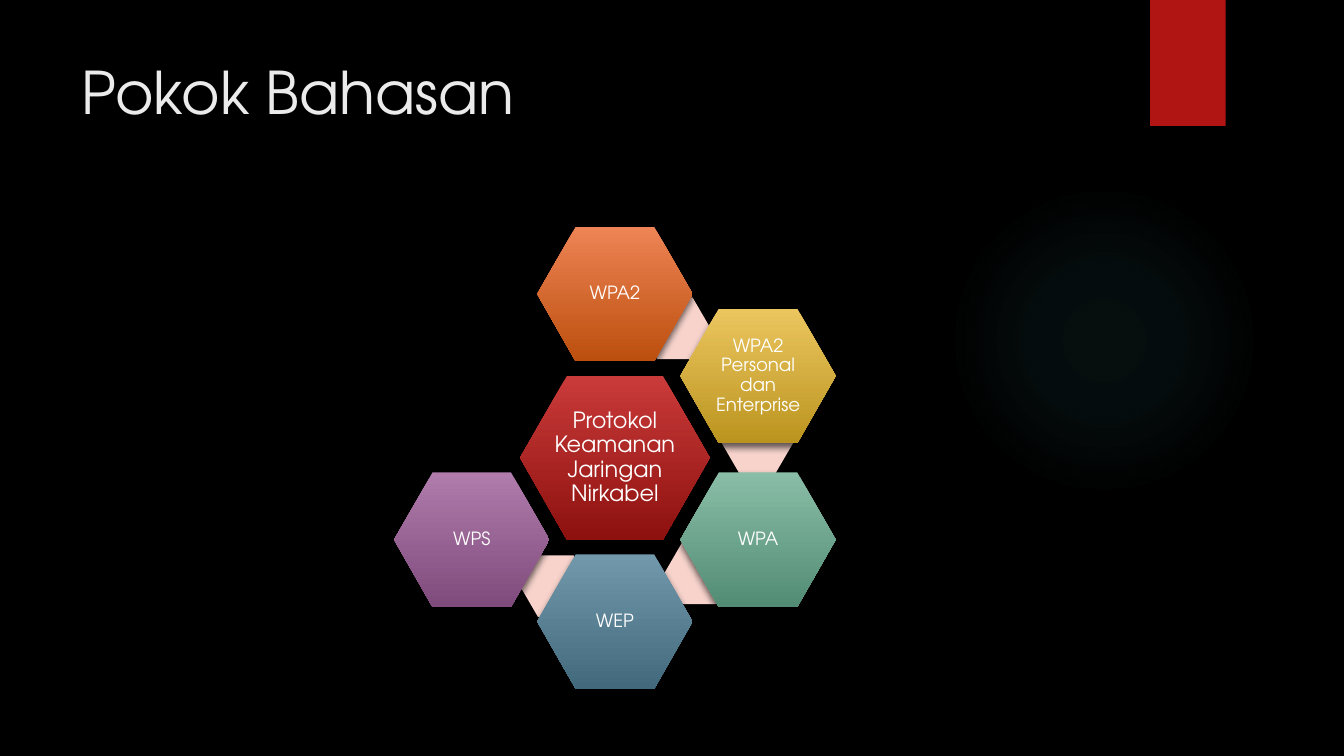
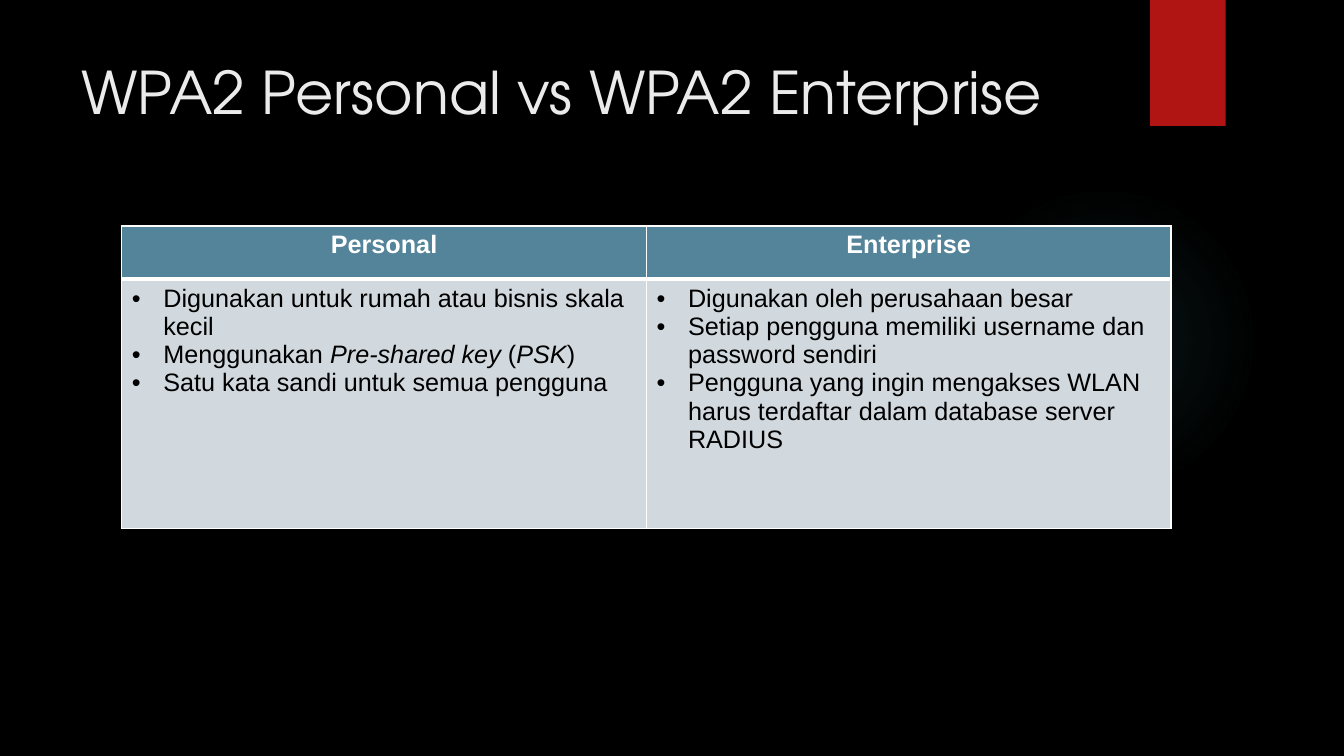
"""Build two slides on wireless security protocols: a honeycomb of topics and a comparison table."""
from pptx import Presentation
from pptx.dml.color import RGBColor
from pptx.enum.shapes import MSO_SHAPE as SHAPE
from pptx.enum.text import MSO_ANCHOR as ANCHOR, PP_ALIGN as ALIGN
from pptx.oxml import parse_xml
from pptx.oxml.ns import nsdecls, qn
from pptx.util import Pt

COLORS = {
    "background": "000000",
    "title": "EBEBEB",
    "glow": "50B9C1",
    "ribbon": "B01513",
    "spacer": "F7D3CC",
    "light": "FFFFFF",
    "dark": "000000",
    "header": "54849A",
    "body": "D1D9DE",
}
RGB = {name: RGBColor.from_string(value) for name, value in COLORS.items()}
DISPLAY_FONT = "TeX Gyre Adventor"
TABLE_FONT = "Arial"


def add_run(paragraph, text, font_name, size, color, bold=False, italic=False):
    run = paragraph.add_run()
    run.text = text
    run.font.name = font_name
    run.font.size = Pt(size)
    run.font.color.rgb = color
    run.font.bold = bold
    run.font.italic = italic


def add_shadow(shape, alpha, blur, distance):
    shape.shadow.inherit = False
    shape.element.spPr.find(qn("a:effectLst")).append(parse_xml(
        f'<a:outerShdw {nsdecls("a")} blurRad="{Pt(blur)}" dist="{Pt(distance)}" '
        f'dir="5400000" rotWithShape="0"><a:srgbClr val="{COLORS["dark"]}">'
        f'<a:alpha val="{alpha * 1000}"/></a:srgbClr></a:outerShdw>'))


prs = Presentation()
prs.slide_width = Pt(960)
prs.slide_height = Pt(540)

layout = prs.slide_layouts[5]
layout.background.fill.solid()
layout.background.fill.fore_color.rgb = RGB["background"]
layout_title = layout.placeholders[0]
layout_title.left, layout_title.top = Pt(51), Pt(36)
layout_title.width, layout_title.height = Pt(741), Pt(110)
layout_title.text_frame.vertical_anchor = ANCHOR.TOP

topics_slide = prs.slides.add_slide(layout)
comparison_slide = prs.slides.add_slide(layout)
titles = [
    (topics_slide, "Pokok Bahasan"),
    (comparison_slide, "WPA2 Personal vs WPA2 Enterprise"),
]
for slide, title in titles:
    heading = slide.shapes.title.text_frame.paragraphs[0]
    heading.alignment = ALIGN.LEFT
    add_run(heading, title, DISPLAY_FONT, 42, RGB["title"])

glow = topics_slide.shapes.add_shape(SHAPE.OVAL, Pt(677.5), Pt(132), Pt(222), Pt(222))
glow.shadow.inherit = False
glow.line.fill.background()
glow_stops = "".join(
    f'<a:gs pos="{position * 1000}"><a:srgbClr val="{COLORS["glow"]}">'
    f'<a:alpha val="{alpha * 1000}"/></a:srgbClr></a:gs>'
    for position, alpha in [(0, 7), (36, 6), (69, 0)])
glow.element.spPr.insert(2, parse_xml(
    f'<a:gradFill {nsdecls("a")}><a:gsLst>{glow_stops}</a:gsLst><a:path path="circle">'
    '<a:fillToRect l="50000" t="50000" r="50000" b="50000"/></a:path></a:gradFill>'))

ribbon = topics_slide.shapes.add_shape(SHAPE.RECTANGLE, Pt(821.5), 0, Pt(54), Pt(90))
ribbon.fill.solid()
ribbon.fill.fore_color.rgb = RGB["ribbon"]
ribbon.line.fill.background()
add_shadow(ribbon, 45, 3, 2)

for position, backdrop in enumerate([glow, ribbon], start=2):
    layout.shapes.element.insert(position, backdrop.element)

CENTER_X, CENTER_Y = 439.25, 327
STEP_X, STEP_Y = 102.25, 58.5
topics = [
    ("Protokol Keamanan Jaringan Nirkabel", 0, 0, 135.5, 117.5, 16, "C93B3A", "8D110F"),
    ("WPA2", 0, -2, 111, 96, 13, "EE8455", "BC4F0E"),
    ("WPA2 Personal dan Enterprise", 1, -1, 111, 96, 13, "EBC65F", "BB941F"),
    ("WPA", 1, 1, 111, 96, 13, "89BDA7", "538C74"),
    ("WEP", 0, 2, 111, 96, 13, "7198AB", "436A7C"),
    ("WPS", -1, 1, 111, 96, 13, "AF7CAC", "7F4B7C"),
]
spacers = [(456.5, 212.5), (515.5, 294.5), (474.5, 387.5), (371.5, 396.75)]

for left, top in spacers:
    spacer = topics_slide.shapes.add_shape(SHAPE.HEXAGON, Pt(left), Pt(top), Pt(51), Pt(44))
    spacer.adjustments[0] = 0.29
    spacer.fill.solid()
    spacer.fill.fore_color.rgb = RGB["spacer"]
    spacer.line.fill.background()
    add_shadow(spacer, 45, 3, 2)

for label, column, row, width, height, size, *shades in topics:
    topic = topics_slide.shapes.add_shape(
        SHAPE.HEXAGON,
        Pt(CENTER_X + column * STEP_X - width / 2),
        Pt(CENTER_Y + row * STEP_Y - height / 2),
        Pt(width), Pt(height))
    topic.adjustments[0] = 0.286
    topic.fill.gradient()
    topic.fill.gradient_angle = 270
    for stop, shade in zip(topic.fill.gradient_stops, shades):
        stop.color.rgb = RGBColor.from_string(shade)
    topic.line.fill.background()
    add_shadow(topic, 60, 5, 3)
    frame = topic.text_frame
    frame.word_wrap = True
    frame.vertical_anchor = ANCHOR.MIDDLE
    frame.margin_left = frame.margin_right = frame.margin_top = frame.margin_bottom = Pt(1.5)
    caption = frame.paragraphs[0]
    caption.alignment = ALIGN.CENTER
    caption.line_spacing = 0.9
    add_run(caption, label, DISPLAY_FONT, size, RGB["light"])

comparison = {
    "Personal": [
        [("Digunakan untuk rumah atau bisnis skala kecil", False)],
        [("Menggunakan ", False), ("Pre-shared key ", True), ("(", False),
         ("PSK", True), (")", False)],
        [("Satu kata sandi untuk semua pengguna", False)],
    ],
    "Enterprise": [
        [("Digunakan oleh perusahaan besar", False)],
        [("Setiap pengguna memiliki username dan password sendiri", False)],
        [("Pengguna yang ingin mengakses WLAN harus terdaftar dalam database server RADIUS",
          False)],
    ],
}
table = comparison_slide.shapes.add_table(
    2, len(comparison), Pt(87), Pt(161.5), Pt(749.5), Pt(216)).table
table.horz_banding = False
table.rows[0].height, table.rows[1].height = Pt(38), Pt(178)

for column, (mode, points) in enumerate(comparison.items()):
    header, body = table.cell(0, column), table.cell(1, column)
    for cell, fill, top_width, bottom_width in [(header, "header", 1, 3), (body, "body", 3, 1)]:
        properties = cell._tc.get_or_add_tcPr()
        for side, width in zip("LRTB", (1, 1, top_width, bottom_width)):
            properties.append(parse_xml(
                f'<a:ln{side} {nsdecls("a")} w="{Pt(width)}"><a:solidFill>'
                f'<a:srgbClr val="{COLORS["light"]}"/></a:solidFill></a:ln{side}>'))
        cell.fill.solid()
        cell.fill.fore_color.rgb = RGB[fill]

    name = header.text_frame.paragraphs[0]
    name.alignment = ALIGN.CENTER
    add_run(name, mode, TABLE_FONT, 18, RGB["light"], bold=True)

    for index, pieces in enumerate(points):
        frame = body.text_frame
        point = frame.add_paragraph() if index else frame.paragraphs[0]
        indents = point._p.get_or_add_pPr()
        indents.set("marL", str(Pt(22.5)))
        indents.set("indent", str(-Pt(22.5)))
        indents.append(parse_xml(f'<a:buFont {nsdecls("a")} typeface="{TABLE_FONT}"/>'))
        indents.append(parse_xml(f'<a:buChar {nsdecls("a")} char="•"/>'))
        for text, italic in pieces:
            add_run(point, text, TABLE_FONT, 18, RGB["dark"], italic=italic)

prs.save("out.pptx")
